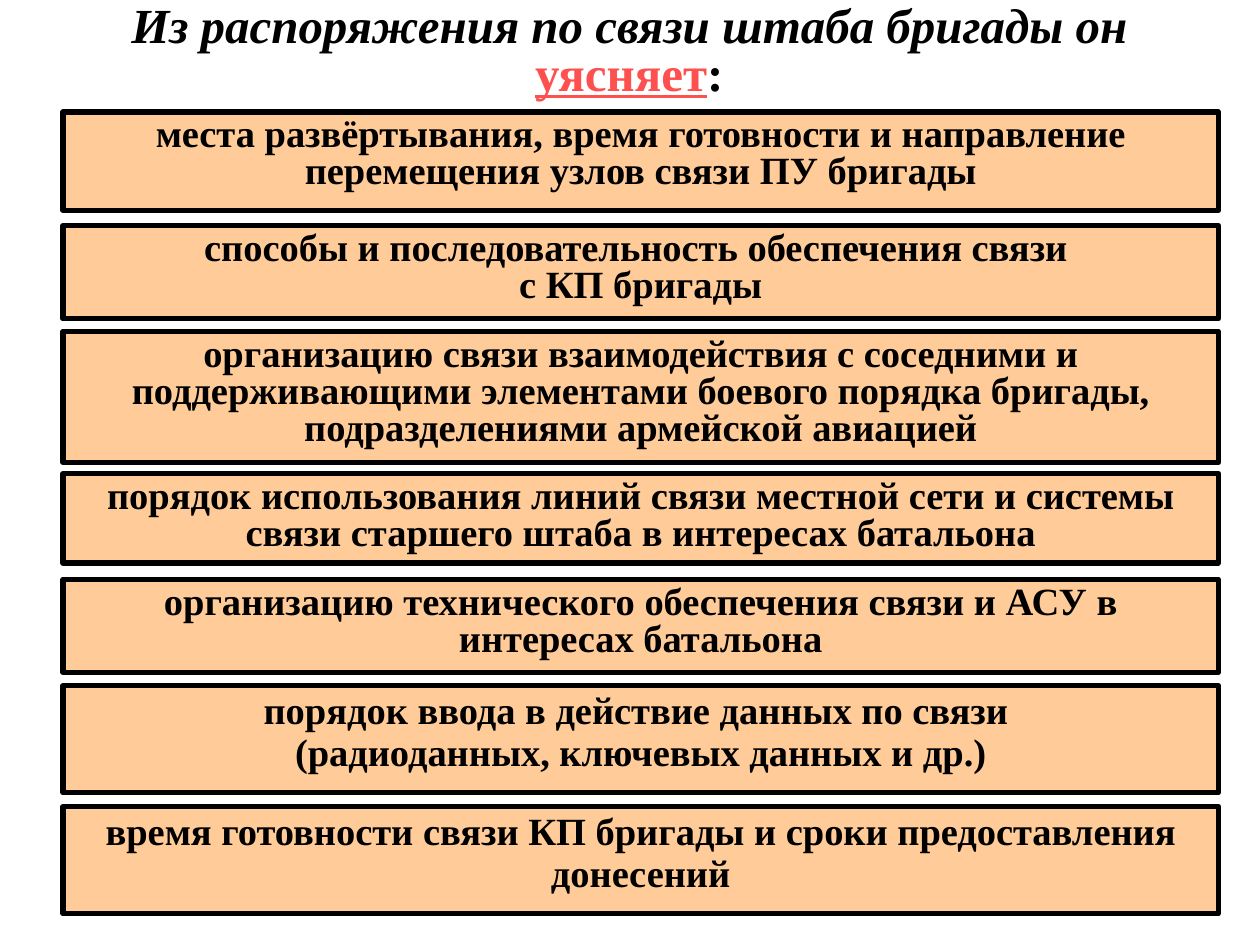
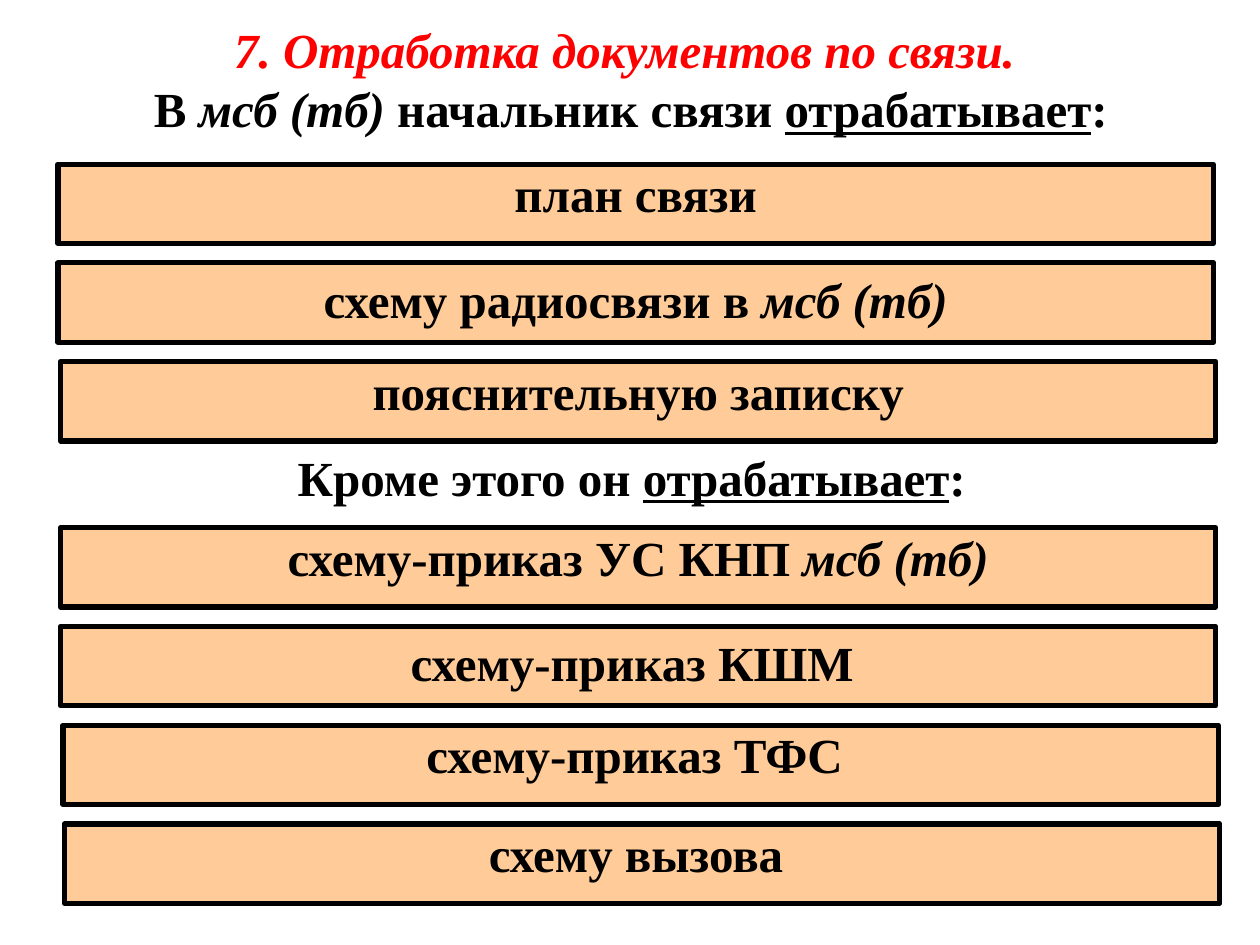
from pptx import Presentation
from pptx import util as u
from pptx.dml import color
from pptx.enum import shapes, text

COLORS = {"ink": "000000", "box": "FFCC99", "accent": "FF5050", "heading": "FF0000"}
FONT = "Times New Roman"
BOX_WIDTH = 23.29
ITALIC = {"italic": True}
UNDERLINE = {"underline": True}


class Deck:
    def __init__(self):
        self.prs = Presentation()
        self.prs.slide_width, self.prs.slide_height = u.Cm(25.4), u.Cm(19.05)
        self.s = None

    def rgb(self, name):
        return color.RGBColor.from_string(COLORS[name])

    def new_slide(self):
        self.s = self.prs.slides.add_slide(self.prs.slide_layouts[5])

    def fill_text(self, sp, paragraphs, size, spacings):
        tf = sp.text_frame
        tf.word_wrap = True
        tf.auto_size = text.MSO_AUTO_SIZE.NONE
        tf.vertical_anchor = text.MSO_ANCHOR.TOP
        for i, (runs, spacing) in enumerate(zip(paragraphs, spacings)):
            p = tf.add_paragraph() if i else tf.paragraphs[0]
            p.alignment = text.PP_ALIGN.CENTER
            p.line_spacing = spacing
            for words, style in runs:
                r = p.add_run()
                r.text = words
                f = r.font
                f.name, f.size, f.bold = FONT, u.Pt(size), True
                f.italic = style.get("italic", False)
                f.underline = style.get("underline", False)
                f.color.rgb = self.rgb(style.get("color", "ink"))

    def title(self, left, top, width, height, paragraphs, spacings):
        sp = self.s.shapes.title
        sp.left, sp.top, sp.width, sp.height = map(u.Cm, (left, top, width, height))
        self.fill_text(sp, paragraphs, 28, spacings)

    def label(self, left, top, width, height, runs):
        sp = self.s.shapes.add_textbox(*map(u.Cm, (left, top, width, height)))
        self.fill_text(sp, [runs], 28, [1.0])

    def box(self, left, top, height, paragraphs, size, spacing):
        sp = self.s.shapes.add_shape(
            shapes.MSO_SHAPE.RECTANGLE, *map(u.Cm, (left, top, BOX_WIDTH, height)))
        sp.shadow.inherit = False
        sp.fill.solid()
        sp.fill.fore_color.rgb = self.rgb("box")
        sp.line.color.rgb = self.rgb("ink")
        sp.line.width = u.Pt(3)
        self.fill_text(sp, paragraphs, size, [spacing] * len(paragraphs))


def brigade_order(deck):
    deck.new_slide()
    deck.title(1.47, 0, 22.43, 1.9, [[
        ("Из распоряжения по связи штаба бригады он ", ITALIC),
        ("уясняет", {"underline": True, "color": "accent"}),
        (":", {}),
    ]], [0.8])
    items = [
        (2.26, 1.98, 0.8, ["места развёртывания, время готовности и направление "
                           "перемещения узлов связи ПУ бригады"]),
        (4.55, 1.88, 0.8, ["способы и последовательность обеспечения связи ",
                           "с КП бригады"]),
        (6.68, 2.64, 0.8, ["организацию связи взаимодействия с соседними и "
                           "поддерживающими элементами боевого порядка бригады, "
                           "подразделениями армейской авиацией"]),
        (9.55, 1.8, 0.8, ["порядок использования линий связи местной сети и системы "
                          "связи старшего штаба в интересах батальона"]),
        (11.68, 1.88, 0.8, ["организацию технического обеспечения связи и АСУ в "
                            "интересах батальона"]),
        (13.82, 2.16, 0.9, ["порядок ввода в действие данных по связи ",
                            "(радиоданных, ключевых данных и др.)"]),
        (16.26, 2.16, 0.9, ["время готовности связи КП бригады и сроки "
                            "предоставления донесений"]),
    ]
    for top, height, spacing, lines in items:
        deck.box(1.27, top, height, [[(line, {})] for line in lines], 22, spacing)


def documents(deck):
    deck.new_slide()
    unit = ("мсб (тб)", ITALIC)
    prepares = [("отрабатывает", UNDERLINE), (":", {})]
    deck.title(1.07, -0.08, BOX_WIDTH, 3.15, [
        [("7. Отработка документов по связи. ", {"italic": True, "color": "heading"})],
        [("В ", {}), unit, (" начальник связи ", {}), *prepares],
    ], [1.3, 1.0])
    deck.label(1.09, 8.89, BOX_WIDTH, 1.8, [("Кроме этого он ", {}), *prepares])
    main_documents = [
        (1.17, 0.9, [("план связи", {})]),
        (1.17, 1.0, [("схему радиосвязи в ", {}), unit]),
        (1.22, 0.9, [("пояснительную записку", {})]),
    ]
    extra_documents = [
        (1.22, 0.9, [("схему-приказ УС КНП ", {}), unit]),
        (1.22, 1.0, [("схему-приказ КШМ ", {})]),
        (1.27, 0.9, [("схему-приказ ТФС ", {})]),
        (1.3, 0.9, [("схему вызова ", {})]),
    ]
    for first_top, group in ((3.31, main_documents), (10.64, extra_documents)):
        for i, (left, spacing, runs) in enumerate(group):
            deck.box(left, first_top + 1.99 * i, 1.6, [runs], 28, spacing)


def main():
    deck = Deck()
    brigade_order(deck)
    documents(deck)
    deck.prs.save("out.pptx")


if __name__ == "__main__":
    main()
